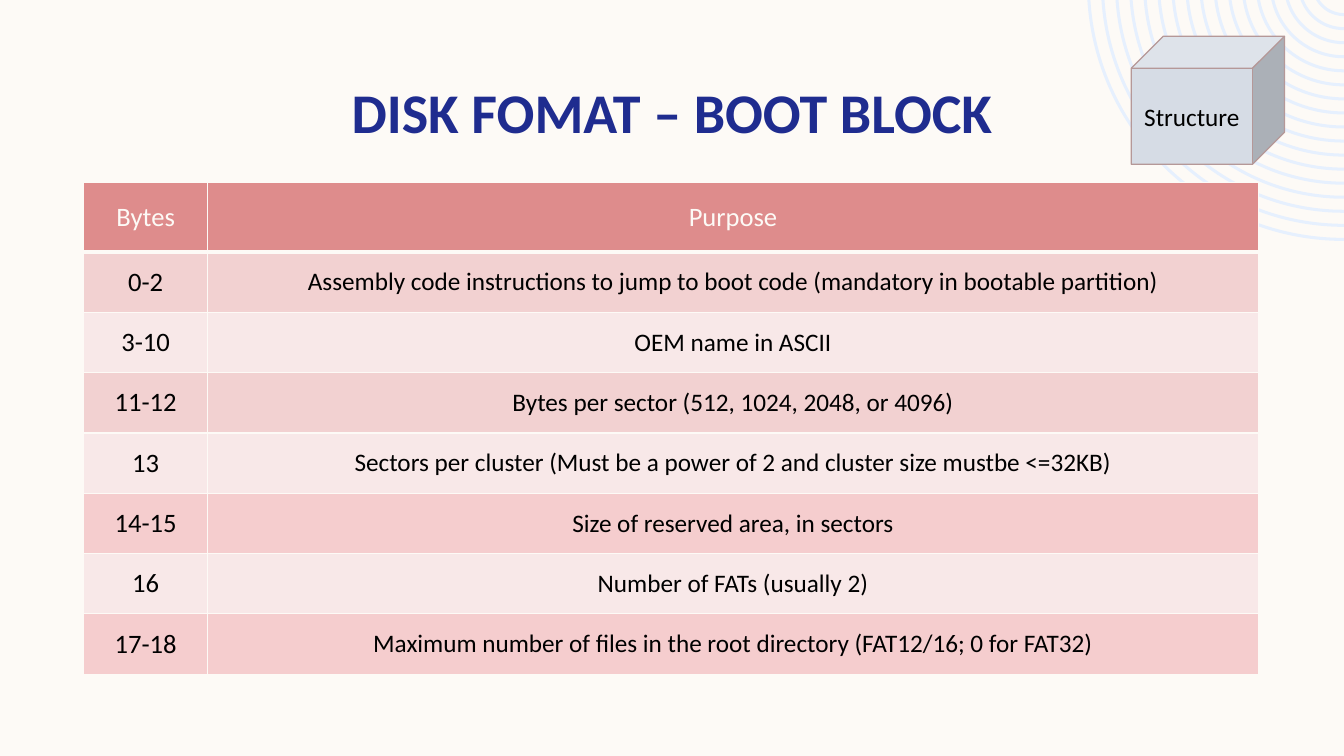
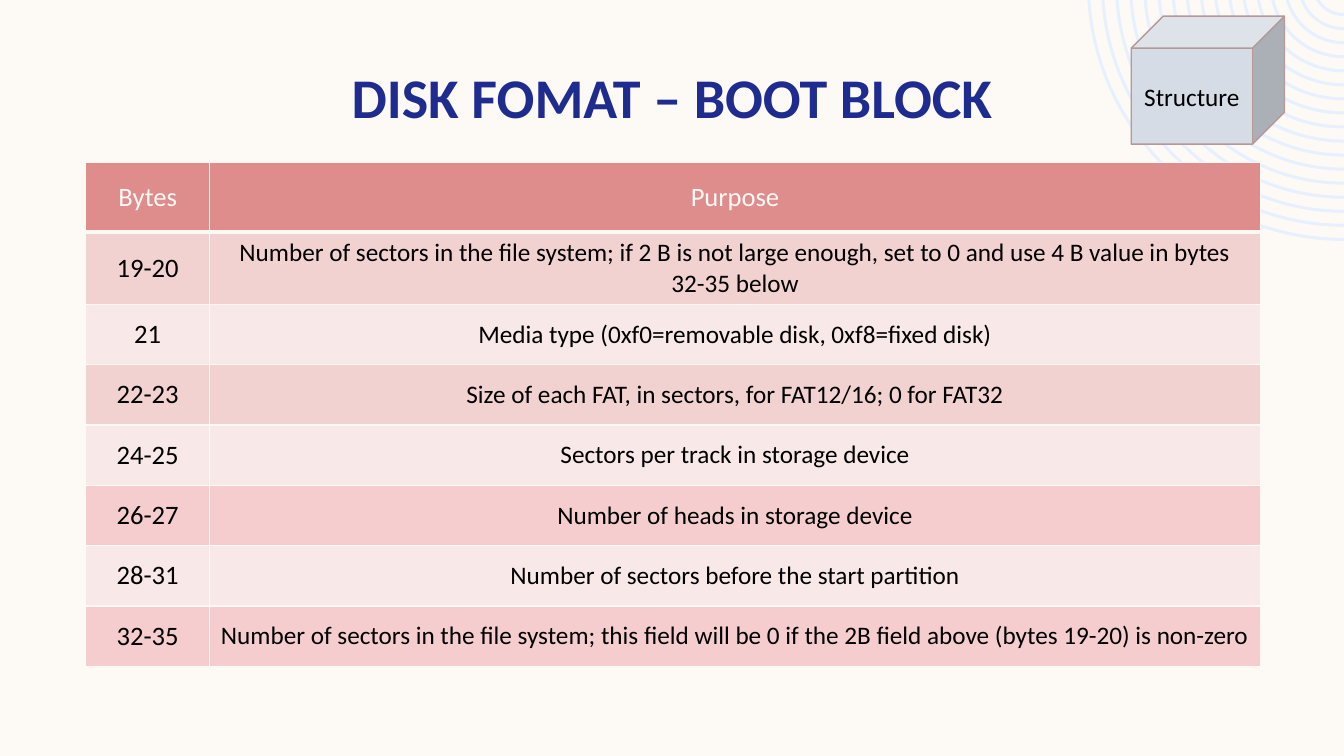
"""Build two slides that tabulate the boot block of a disk format."""
from math import asin, cos, pi, sin, tan

from lxml import etree
from pptx import Presentation
from pptx.dml.color import RGBColor
from pptx.enum.shapes import MSO_SHAPE
from pptx.enum.text import MSO_ANCHOR, PP_ALIGN
from pptx.oxml.ns import qn
from pptx.util import Inches, Pt

CUBE = MSO_SHAPE.CUBE
CENTER = PP_ALIGN.CENTER
MIDDLE = MSO_ANCHOR.MIDDLE

THEME = {
    "font": "Calibri",
    "paper": "FDFAF6", "title": "1F2C8F", "text": "000000",
    "rings": "E6F0FE", "cube": "D6DCE5", "cube_line": "B59898",
    "header": "DE8C8C", "rose": "F2D1D1", "pale": "F8E8E8", "pink": "F5CDCE",
    "title_size": 40, "key_size": 19, "body_size": 18,
    "border": 1, "header_border": 3,
}
ROW_FILLS = ["header", "rose", "pale", "rose", "pale", "pink", "pale", "pink"]
COL_WIDTHS = [1.23, 10.42]
TABLE_HEIGHT, HEADER_HEIGHT = 4.88, 0.69
CELL_SIDE, CELL_EDGE = 0.11, 0.06

SLIDES = [
    {"title_top": 0.72, "table_at": (0.83, 1.81), "cube_top": 0.36, "rows": [
        ("Bytes", "Purpose"),
        ("0-2", "Assembly code instructions to jump to boot code (mandatory in bootable partition)"),
        ("3-10", "OEM name in ASCII"),
        ("11-12", "Bytes per sector (512, 1024, 2048, or 4096)"),
        ("13", "Sectors per cluster (Must be a power of 2 and cluster size mustbe <=32KB)"),
        ("14-15", "Size of reserved area, in sectors"),
        ("16", "Number of FATs (usually 2)"),
        ("17-18", "Maximum number of files in the root directory (FAT12/16; 0 for FAT32)"),
    ]},
    {"title_top": 0.58, "table_at": (0.85, 1.61), "cube_top": 0.16, "rows": [
        ("Bytes", "Purpose"),
        ("19-20", "Number of sectors in the file system; if 2 B is not large enough, "
                  "set to 0 and use 4 B value in bytes 32-35 below"),
        ("21", "Media type (0xf0=removable disk, 0xf8=fixed disk)"),
        ("22-23", "Size of each FAT, in sectors, for FAT12/16; 0 for FAT32"),
        ("24-25", "Sectors per track in storage device"),
        ("26-27", "Number of heads in storage device"),
        ("28-31", "Number of sectors before the start partition"),
        ("32-35", "Number of sectors in the file system; this field will be 0 "
                  "if the 2B field above (bytes 19-20) is non-zero"),
    ]},
]

SLIDE_W, SLIDE_H = 13.33, 7.5
RING_COUNT, RING_WIDTH = 17, 0.03
RING_MIN, RING_MAX, RING_RISE = 0.32, 2.55, 0.16


def color(name):
    return RGBColor.from_string(THEME[name])


def write(tf, text, size, ink, bold=False):
    p = tf.paragraphs[0]
    p.alignment = CENTER
    r = p.add_run()
    r.text = text
    r.font.name = THEME["font"]
    r.font.size = Pt(THEME[size])
    r.font.bold = bold
    r.font.color.rgb = color(ink)


rings = []
for i in range(RING_COUNT):
    outer = RING_MIN + i * (RING_MAX - RING_MIN) / (RING_COUNT - 1)
    ring = []
    for radius, direction in ((outer, 1), (outer - RING_WIDTH, -1)):
        start = asin(RING_RISE / radius)
        pull = radius * 4 / 3 * tan((pi / 2 - start) / 4)
        x, y = SLIDE_W - radius * cos(start), 0
        bottom = radius - RING_RISE
        arc = [(x, y), (x + pull * sin(start), y + pull * cos(start)),
               (SLIDE_W - pull, bottom), (SLIDE_W, bottom)]
        ring += [(Inches(px), Inches(py)) for px, py in arc[::direction]]
    rings.append(ring)

prs = Presentation()
prs.slide_width, prs.slide_height = Inches(SLIDE_W), Inches(SLIDE_H)
blank = prs.slide_layouts[6]
blank.background.fill.solid()
blank.background.fill.fore_color.rgb = color("paper")

for content in SLIDES:
    s = prs.slides.add_slide(blank)

    outline = s.shapes.build_freeform(*rings[0][0])
    for i, ring in enumerate(rings):
        if i:
            outline.move_to(*ring[0])
        outline.add_line_segments(ring[1:], close=True)
    sp = outline.convert_to_shape()
    sp.shadow.inherit = False
    sp.fill.solid()
    sp.fill.fore_color.rgb = color("rings")
    sp.line.fill.background()
    path_xml = next(sp._element.iter(qn("a:path")))
    segments = path_xml.findall(qn("a:lnTo"))
    for first in range(0, len(segments), 7):
        for start in (first, first + 4):
            curve = etree.Element(qn("a:cubicBezTo"))
            segments[start].addprevious(curve)
            for segment in segments[start:start + 3]:
                curve.append(segment[0])
                path_xml.remove(segment)

    sp = s.shapes.add_textbox(Inches(0.83), Inches(content["title_top"]), Inches(11.67), Inches(0.84))
    tf = sp.text_frame
    tf.word_wrap = True
    tf.vertical_anchor = MIDDLE
    write(tf, "DISK FOMAT – BOOT BLOCK", "title_size", "title", bold=True)
    tf.paragraphs[0].line_spacing = 0.9

    rows = content["rows"]
    left, top = content["table_at"]
    row_height = (TABLE_HEIGHT - HEADER_HEIGHT) / (len(rows) - 1)
    table = s.shapes.add_table(len(rows), len(COL_WIDTHS), Inches(left), Inches(top),
                               Inches(sum(COL_WIDTHS)), Inches(TABLE_HEIGHT)).table
    for col, width in zip(table.columns, COL_WIDTHS):
        col.width = Inches(width)
    for i, (row, fill) in enumerate(zip(rows, ROW_FILLS)):
        header = i == 0
        table.rows[i].height = Inches(HEADER_HEIGHT if header else row_height)
        for j, text in enumerate(row):
            cell = table.cell(i, j)
            cell.vertical_anchor = MIDDLE
            cell.margin_left = cell.margin_right = Inches(CELL_SIDE)
            cell.margin_top = cell.margin_bottom = Inches(CELL_EDGE)
            cell.fill.solid()
            cell.fill.fore_color.rgb = color(fill)
            size = "key_size" if header or j == 0 else "body_size"
            write(cell.text_frame, text, size, "paper" if header else "text")
            tcPr = cell._tc.get_or_add_tcPr()
            for k, side in enumerate(("lnL", "lnR", "lnT", "lnB")):
                thick = (i, side) in ((0, "lnB"), (1, "lnT"))
                weight = THEME["header_border" if thick else "border"]
                ln = etree.Element(qn("a:" + side), w=str(Pt(weight)))
                solid = etree.SubElement(ln, qn("a:solidFill"))
                etree.SubElement(solid, qn("a:srgbClr"), val=THEME["paper"])
                tcPr.insert(k, ln)

    sp = s.shapes.add_shape(CUBE, Inches(11.22), Inches(content["cube_top"]), Inches(1.52), Inches(1.27))
    sp.shadow.inherit = False
    sp.fill.solid()
    sp.fill.fore_color.rgb = color("cube")
    sp.line.color.rgb = color("cube_line")
    sp.line.width = Pt(1)
    sp.text_frame.vertical_anchor = MIDDLE
    write(sp.text_frame, "Structure", "body_size", "text")

prs.save("out.pptx")
